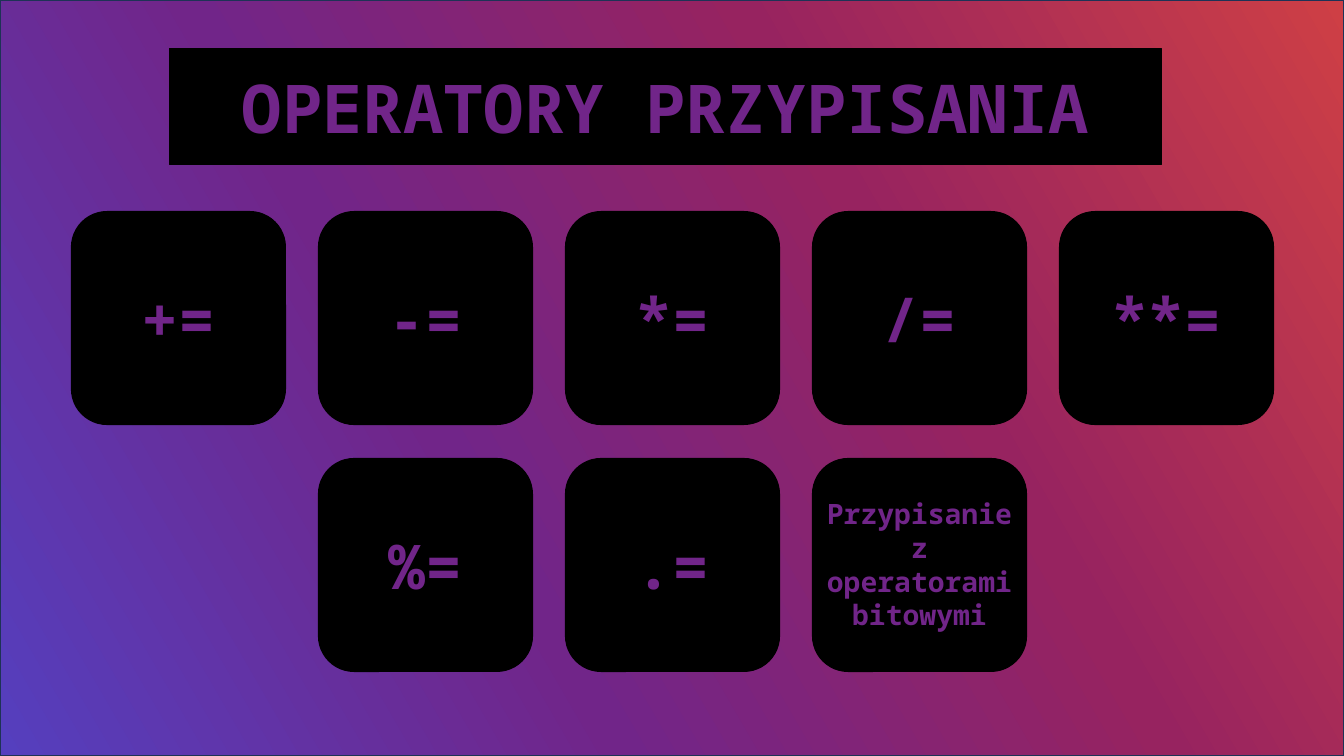
from lxml.etree import SubElement
from pptx import Presentation
from pptx.dml.color import RGBColor
from pptx.enum.shapes import MSO_SHAPE as SHAPE
from pptx.enum.text import MSO_ANCHOR, MSO_AUTO_SIZE, PP_ALIGN
from pptx.oxml.ns import qn
from pptx.util import Inches, Pt

TITLE = "OPERATORY PRZYPISANIA"
OPERATORS = [
    (0, 0, "+="), (1, 0, "-="), (2, 0, "*="), (3, 0, "/="), (4, 0, "**="),
    (1, 1, "%="), (2, 1, ".="), (3, 1, "Przypisanie z operatorami bitowymi"),
]
STOPS = [
    (0, RGBColor(0x55, 0x3F, 0xBE)), (35, RGBColor(0x71, 0x25, 0x89)),
    (66, RGBColor(0x97, 0x23, 0x60)), (100, RGBColor(0xCE, 0x3F, 0x45)),
]
BLACK = RGBColor(0, 0, 0)
NAVY = RGBColor(0x1E, 0x32, 0x56)
FONT = "Noto Sans Mono"
WIDTH, HEIGHT = 13.33, 7.5
LEFT, TOP, PITCH = 0.71, 2.1, 2.45
TILE_W, TILE_H = 2.12, 2.11


def set_gradient(fill, parent):
    """Give a fill the four-colour diagonal gradient."""
    fill.gradient()
    fill.gradient_angle = 30
    stops = parent.find(qn("a:gradFill")).find(qn("a:gsLst"))
    stops.clear()
    for percent, color in STOPS:
        stop = SubElement(stops, qn("a:gs"), pos=str(percent * 1000))
        SubElement(stop, qn("a:srgbClr"), val=str(color))


def set_text(shape, text, size):
    """Write centred bold gradient text."""
    tf = shape.text_frame
    tf.word_wrap = True
    p = tf.paragraphs[0]
    p.text = text
    p.alignment = PP_ALIGN.CENTER
    p.font.name, p.font.size, p.font.bold = FONT, Pt(size), True
    set_gradient(p.font.fill, p._p.pPr.find(qn("a:defRPr")))


def set_black(shape):
    """Fill and outline a shape in black."""
    shape.fill.solid()
    shape.fill.fore_color.rgb = BLACK
    shape.line.color.rgb = BLACK
    shape.line.width = Pt(1)


def add_background(s):
    """Place the gradient panel behind everything."""
    panel = s.shapes.add_shape(SHAPE.RECTANGLE, 0, 0, Inches(WIDTH), Inches(HEIGHT))
    panel.shadow.inherit = False
    set_gradient(panel.fill, panel._element.spPr)
    panel.line.color.rgb = NAVY
    panel.line.width = Pt(1)
    s.shapes._spTree.insert(2, panel._element)


def add_title(s):
    """Turn the title placeholder into a rounded black banner."""
    title = s.shapes.title
    title.left, title.top = Inches(1.68), Inches(0.48)
    title.width, title.height = Inches(9.84), Inches(1.15)
    geometry = SubElement(title._element.spPr, qn("a:prstGeom"), prst="roundRect")
    SubElement(geometry, qn("a:avLst"))
    set_black(title)
    set_text(title, TITLE, 48)
    title.text_frame.auto_size = MSO_AUTO_SIZE.NONE
    title.text_frame.vertical_anchor = MSO_ANCHOR.MIDDLE


def add_operator(s, col, row, label):
    """Add one tile with its label centred on it."""
    x, y = LEFT + col * PITCH, TOP + row * PITCH
    tile = s.shapes.add_shape(SHAPE.ROUNDED_RECTANGLE, Inches(x), Inches(y),
                              Inches(TILE_W), Inches(TILE_H))
    tile.shadow.inherit = False
    set_black(tile)
    is_symbol = len(label) <= 3
    w, h, size = (1.36, 0.84, 44) if is_symbol else (TILE_W, 1.45, 20)
    box = s.shapes.add_textbox(Inches(x + (TILE_W - w) / 2), Inches(y + (TILE_H - h) / 2),
                               Inches(w), Inches(h))
    set_text(box, label, size)
    box.text_frame.auto_size = MSO_AUTO_SIZE.SHAPE_TO_FIT_TEXT


def main():
    """Build the slide of assignment operators."""
    prs = Presentation()
    prs.slide_width, prs.slide_height = Inches(WIDTH), Inches(HEIGHT)
    s = prs.slides.add_slide(prs.slide_layouts[5])
    add_background(s)
    add_title(s)
    for col, row, label in OPERATORS:
        add_operator(s, col, row, label)
    prs.save("out.pptx")


if __name__ == "__main__":
    main()
